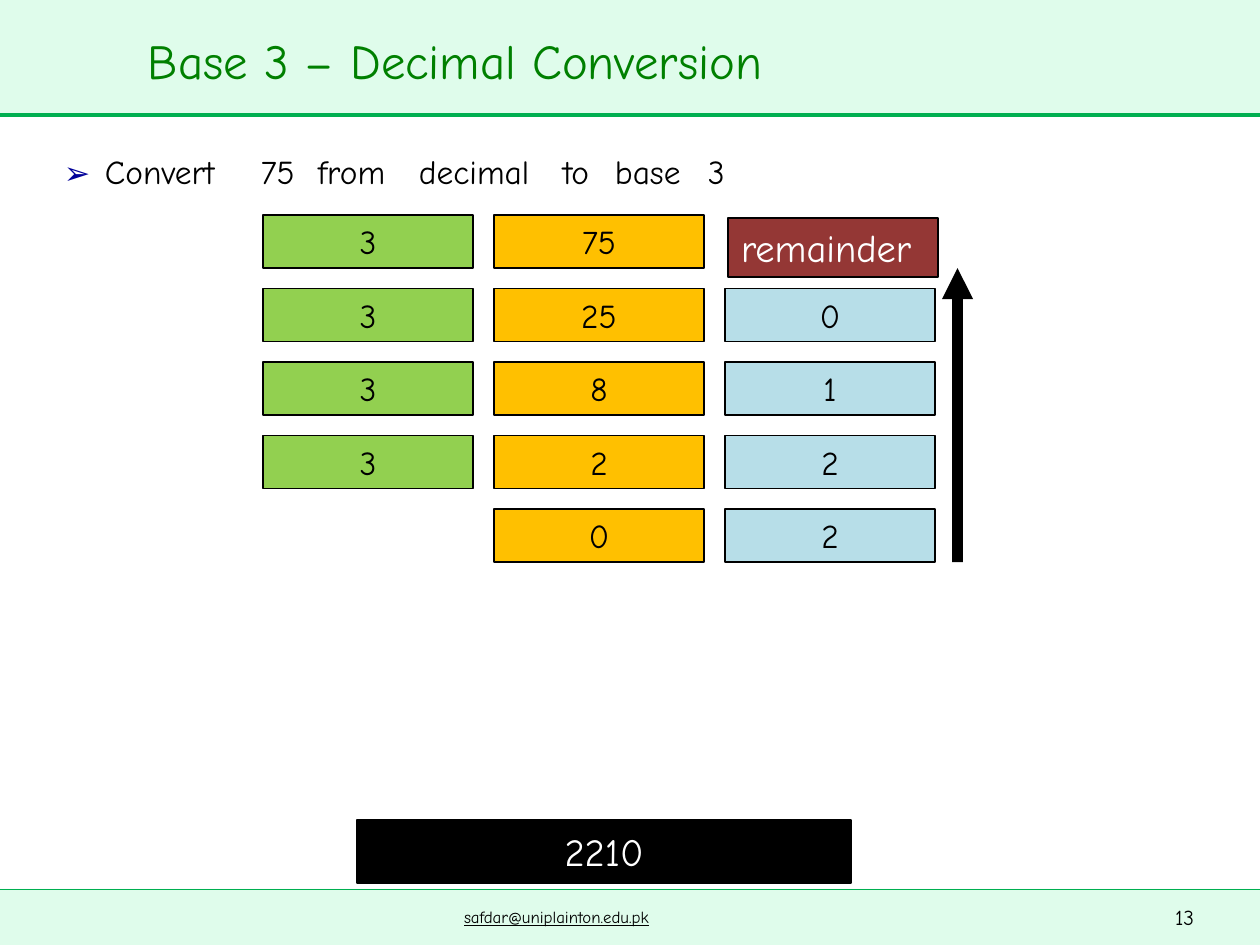
"""Build the slide that converts 75 from decimal to base 3."""
from dataclasses import dataclass
from typing import Optional

from lxml.etree import SubElement
from pptx import Presentation
from pptx.dml.color import RGBColor
from pptx.enum.shapes import MSO_CONNECTOR, MSO_SHAPE
from pptx.enum.text import MSO_ANCHOR, PP_ALIGN
from pptx.oxml.ns import qn
from pptx.util import Emu, Pt

MINT = RGBColor(0xDF, 0xFC, 0xEB)
GREEN = RGBColor(0x00, 0xAF, 0x50)
TITLE_GREEN = RGBColor(0x00, 0x80, 0x00)
NAVY = RGBColor(0x00, 0x00, 0x99)
LIME = RGBColor(0x92, 0xD0, 0x50)
AMBER = RGBColor(0xFF, 0xC0, 0x00)
SKY = RGBColor(0xB7, 0xDE, 0xE8)
MAROON = RGBColor(0x94, 0x37, 0x35)
BLACK = RGBColor(0x00, 0x00, 0x00)
WHITE = RGBColor(0xFF, 0xFF, 0xFF)

FONT = "Comic Neue"
EMU_PER_PX = 914400 / 126
GRID_TOP, ROW_STEP = 215, 73.5
CELL_W, CELL_H = 210, 53


@dataclass(frozen=True)
class Column:
    left: int
    fill: RGBColor
    first_row: int
    values: tuple[str, ...]


@dataclass(frozen=True)
class Label:
    text: str
    left: int
    top: int
    width: int
    height: int
    size: float
    color: RGBColor = BLACK
    underline: bool = False


COLUMNS = (
    Column(263, LIME, 0, ("3", "3", "3", "3")),
    Column(494, AMBER, 0, ("75", "25", "8", "2", "0")),
    Column(725, SKY, 1, ("0", "1", "2", "2")),
)
LABELS = (
    Label("Base 3 – Decimal Conversion", 148, 31, 742, 58, 27.9, TITLE_GREEN),
    Label("safdar@uniplainton.edu.pk", 464, 905, 260, 24, 9.6, underline=True),
    Label("13", 1175, 903, 34, 28, 12.1),
)
WORD_STOPS = (("Convert", 41), ("75", 197), ("from", 254), ("decimal", 355),
              ("to", 499), ("base", 551), ("3", 644))


def px(value: float) -> Emu:
    return Emu(round(value * EMU_PER_PX))


def add_run(p, text: str, *, size: float, color: RGBColor = BLACK,
            font: str = FONT, underline: bool = False) -> None:
    r = p.add_run()
    r.text = text
    r.font.name = font
    r.font.size = Pt(size)
    r.font.color.rgb = color
    if underline:
        r.font.underline = True


def prepare(tf, *, align: PP_ALIGN = PP_ALIGN.LEFT, inset: int = 0):
    tf.word_wrap = True
    tf.margin_left = px(inset)
    tf.margin_right = tf.margin_top = tf.margin_bottom = 0
    tf.vertical_anchor = MSO_ANCHOR.MIDDLE
    p = tf.paragraphs[0]
    p.alignment = align
    return p


def add_box(s, left: float, top: float, width: float, height: float,
            fill: RGBColor, *, line: Optional[RGBColor] = BLACK,
            kind: MSO_SHAPE = MSO_SHAPE.RECTANGLE,
            text: str = "", size: float = 19.1, color: RGBColor = BLACK,
            align: PP_ALIGN = PP_ALIGN.CENTER, inset: int = 0):
    sp = s.shapes.add_shape(kind, px(left), px(top), px(width), px(height))
    sp.shadow.inherit = False
    sp.fill.solid()
    sp.fill.fore_color.rgb = fill
    if line is None:
        sp.line.fill.background()
    else:
        sp.line.color.rgb = line
        sp.line.width = Pt(0.75)
    if text:
        p = prepare(sp.text_frame, align=align, inset=inset)
        add_run(p, text, size=size, color=color)
    return sp


def add_rule(s, y: int, width: float) -> None:
    sp = s.shapes.add_connector(MSO_CONNECTOR.STRAIGHT,
                                0, px(y), px(1260), px(y))
    sp.line.color.rgb = GREEN
    sp.line.width = Pt(width)
    SubElement(sp._element.spPr, qn("a:effectLst"))


def add_reading_arrow(s) -> None:
    sp = add_box(s, 942, 268, 31, 294, BLACK, line=None,
                 kind=MSO_SHAPE.UP_ARROW)
    sp.adjustments[0] = 0.34
    sp.adjustments[1] = 1


def add_label(s, label: Label) -> None:
    sp = s.shapes.add_textbox(px(label.left), px(label.top),
                              px(label.width), px(label.height))
    add_run(prepare(sp.text_frame), label.text, size=label.size,
            color=label.color, underline=label.underline)


def add_task(s) -> None:
    sp = s.shapes.add_textbox(px(64), px(150), px(720), px(42))
    p = prepare(sp.text_frame)
    tabs = SubElement(p._p.get_or_add_pPr(), qn("a:tabLst"))
    for _, stop in WORD_STOPS:
        SubElement(tabs, qn("a:tab"), pos=str(px(stop)), algn="l")
    add_run(p, "➢", size=18, color=NAVY, font="Arial")
    add_run(p, "".join(f"\t{word}" for word, _ in WORD_STOPS), size=19.1)


def main() -> None:
    prs = Presentation()
    prs.slide_width, prs.slide_height = px(1260), px(945)
    s = prs.slides.add_slide(prs.slide_layouts[6])
    add_box(s, 0, 0, 1260, 114, MINT, line=None)
    add_rule(s, 115, 2)
    add_box(s, 0, 889, 1260, 56, MINT, line=None)
    add_rule(s, 889, 0.25)
    for column in COLUMNS:
        for row, value in enumerate(column.values, column.first_row):
            add_box(s, column.left, GRID_TOP + row * ROW_STEP,
                    CELL_W, CELL_H, column.fill, text=value)
    add_box(s, 728, 218, CELL_W, 59, MAROON, text="remainder", size=22,
            color=WHITE, align=PP_ALIGN.LEFT, inset=13)
    add_box(s, 357, 820, 494, 63, BLACK, text="2210", size=22, color=WHITE)
    add_reading_arrow(s)
    for label in LABELS:
        add_label(s, label)
    add_task(s)
    prs.save("out.pptx")


main()
